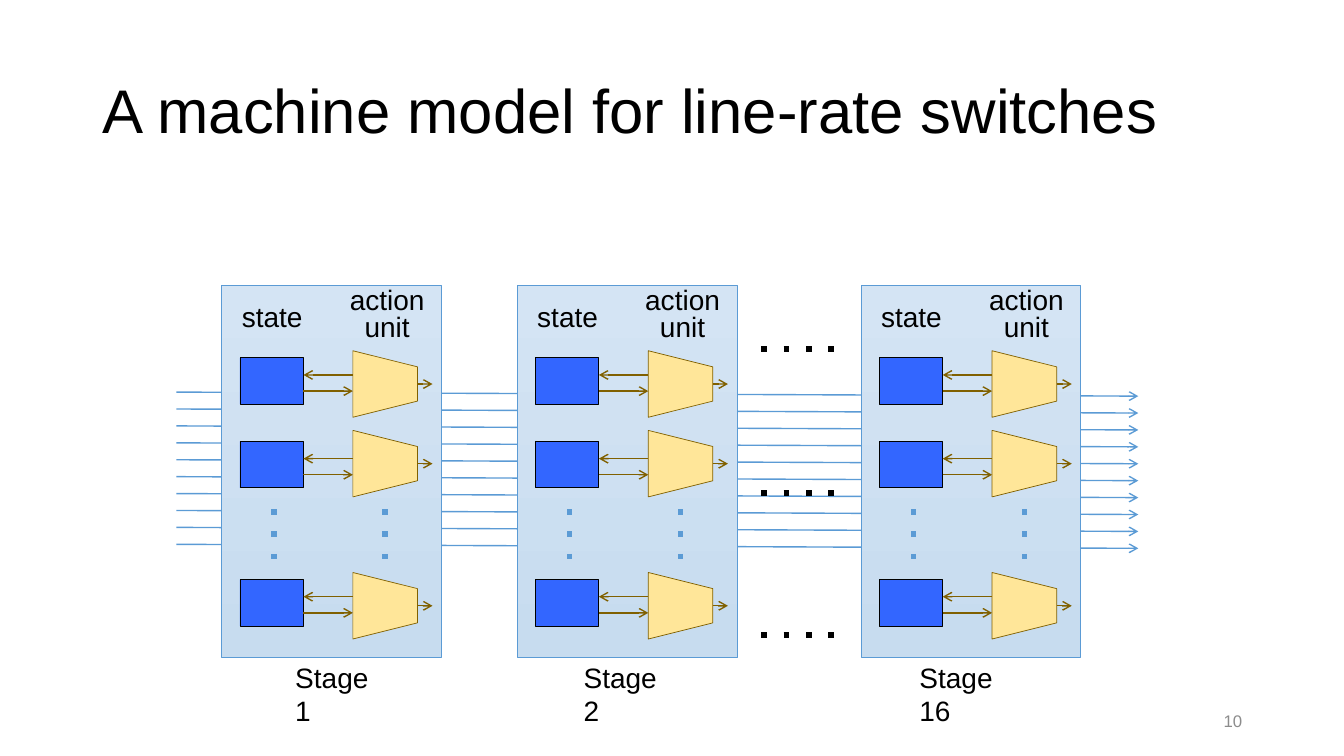
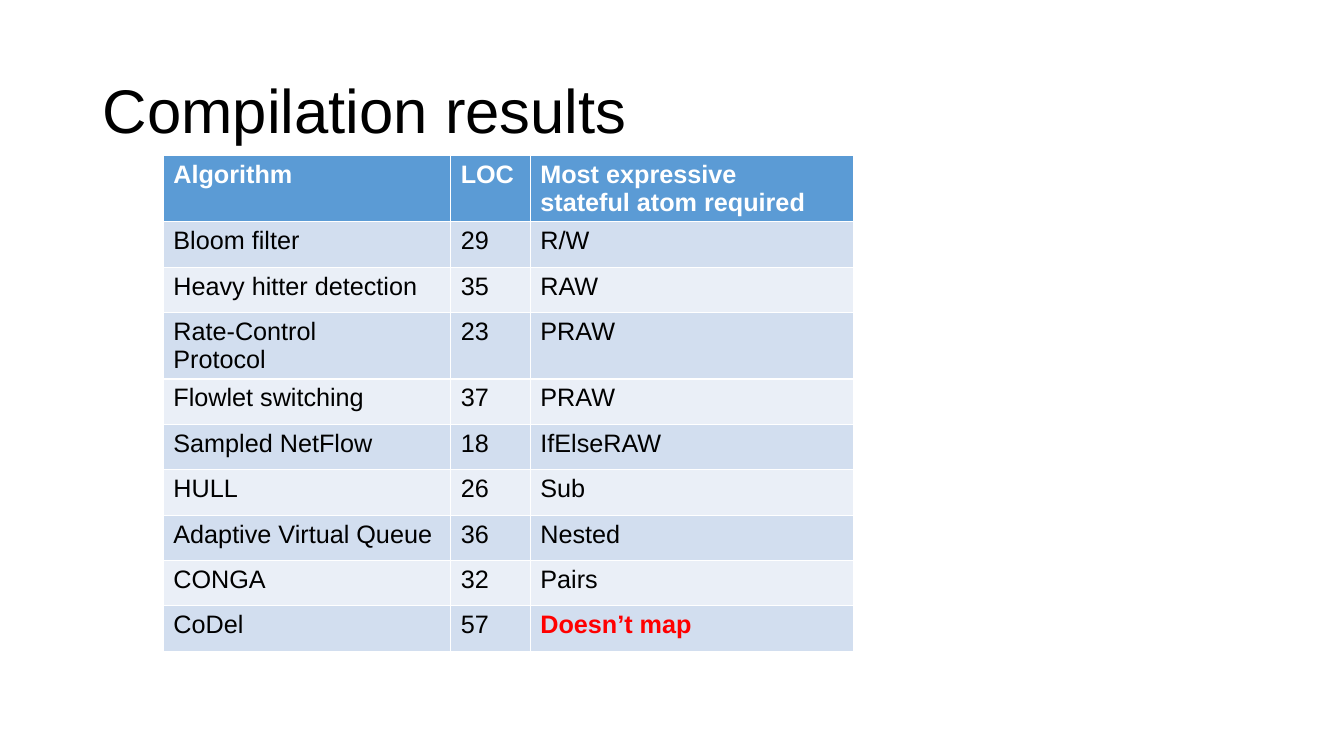
from lxml import etree
from pptx import Presentation
from pptx.dml.color import RGBColor
from pptx.enum.shapes import MSO_CONNECTOR, MSO_SHAPE
from pptx.enum.text import MSO_ANCHOR, PP_ALIGN
from pptx.oxml.ns import qn
from pptx.util import Emu, Inches, Pt

LINE = MSO_CONNECTOR.STRAIGHT
RECT, TRAP = MSO_SHAPE.RECTANGLE, MSO_SHAPE.TRAPEZOID
LEFT, MID, RIGHT = PP_ALIGN.LEFT, PP_ALIGN.CENTER, PP_ALIGN.RIGHT
CENTRE = MSO_ANCHOR.MIDDLE

FONT = "Arial"
HEX = {
    "ink": "000000", "white": "FFFFFF", "grey": "8C8C8C", "red": "FF0000",
    "blue": "5B9BD5", "state": "3366FF", "unit": "FFE699", "brown": "806000",
    "top": "D4E4F4", "base": "C7DCEF", "dark": "D2DEEF", "light": "EAEFF7",
}

# The slide is a grid of square cells, 13.33 columns by 7.5 rows
CELL = Inches(1)
COLS, ROWS = 13.33, 7.5

# Stages: left edge, label, label indent and label width
STAGES = [
    (2.2, "Stage 1", 0.63, 1.03),
    (5.13, "Stage 2", 0.56, 1.07),
    (8.54, "Stage 16", 0.48, 1.18),
]
STAGE_TOP, STAGE_W, STAGE_H = 2.83, 2.18, 3.69
PAIRS = [(3.55, 3.48), (4.38, 4.27), (5.75, 5.68)]  # tops of state and unit
BOX_X, BOX_W, BOX_H = 0.18, 0.63, 0.46
UNIT_X, UNIT_W, UNIT_H = 1.3, 0.64, 0.66
WIRES, WIRE_TOP, WIRE_END, WIRE_DROP = 10, 3.89, 5.4, 0.04

WIDTHS = [2.85, 0.79, 3.21]
HEAD_H, ROW_H = 0.64, 0.45
RESULTS = [
    ("Algorithm", "LOC", "Most expressive\nstateful atom required"),
    ("Bloom filter", "29", "R/W"),
    ("Heavy hitter detection", "35", "RAW"),
    ("Rate-Control\nProtocol", "23", "PRAW"),
    ("Flowlet switching", "37", "PRAW"),
    ("Sampled NetFlow", "18", "IfElseRAW"),
    ("HULL", "26", "Sub"),
    ("Adaptive Virtual Queue", "36", "Nested"),
    ("CONGA", "32", "Pairs"),
    ("CoDel", "57", "Doesn’t map"),
]


def rgb(name):
    return RGBColor.from_string(HEX[name])


def grid(*cells):
    return [Emu(round(n * CELL)) for n in cells]


def style(frame, size, color="ink", align=LEFT, bold=False, lead=None):
    for para in frame.paragraphs:
        para.alignment = align
        if lead:
            para.line_spacing = lead
        font = para.font
        font.name, font.size, font.bold = FONT, Pt(size), bold
        font.color.rgb = rgb(color)


def add_slide(deck, title):
    slide = deck.slides.add_slide(deck.slide_layouts[5])
    head = slide.shapes.title
    head.left, head.top, head.width, head.height = grid(0.92, 0.4, 11.5, 1.45)
    frame = head.text_frame
    frame.text = title
    frame.vertical_anchor = CENTRE
    style(frame, 44, lead=0.9)
    return slide


def add_text(slide, text, box, size=20, color="ink", align=LEFT, lead=None,
             pad=(0.1, 0.05)):
    frame = slide.shapes.add_textbox(*grid(*box)).text_frame
    frame.word_wrap = True
    frame.margin_left = frame.margin_right = Inches(pad[0])
    frame.margin_top = frame.margin_bottom = Inches(pad[1])
    frame.text = text
    style(frame, size, color, align, lead=lead)
    return frame


def add_line(slide, start, end, color, width=1, dots=False, arrow=False):
    line = slide.shapes.add_connector(LINE, *grid(*start, *end))
    line.line.color.rgb = rgb(color)
    line.line.width = Pt(width)
    props = line.line._get_or_add_ln()
    if dots:
        etree.SubElement(props, qn("a:prstDash"), val="dot")
    if arrow:
        etree.SubElement(props, qn("a:tailEnd"), type="arrow")
    etree.SubElement(line._element.spPr, qn("a:effectLst"))


def add_block(slide, kind, box, edge, fill=None):
    block = slide.shapes.add_shape(kind, *grid(*box))
    block.shadow.inherit = False
    block.line.color.rgb = rgb(edge)
    block.line.width = Pt(0.5)
    if fill:
        block.fill.solid()
        block.fill.fore_color.rgb = rgb(fill)
    return block


def add_pair(slide, left, box_top, unit_top):
    """A state box and its action unit, with the arrows between them."""
    box_x, unit_x = left + BOX_X, left + UNIT_X
    box_end, unit_end = box_x + BOX_W, unit_x + UNIT_W
    back, out, mid = box_top + 0.17, box_top + 0.33, unit_top + UNIT_H / 2
    add_block(slide, RECT, (box_x, box_top, BOX_W, BOX_H), "ink", "state")
    # The unit is turned, so its box is set out about the same centre
    turn = (UNIT_H - UNIT_W) / 2
    unit = add_block(slide, TRAP,
                     (unit_x - turn, unit_top + turn, UNIT_H, UNIT_W),
                     "brown", "unit")
    unit.rotation = 90
    for start, end in [((unit_x, back), (box_end, back)),
                       ((box_end, out), (unit_x, out)),
                       ((unit_end, mid), (unit_end + 0.15, mid))]:
        add_line(slide, start, end, "brown", arrow=True)


def add_stage(slide, left, label, indent, width):
    panel = add_block(slide, RECT, (left, STAGE_TOP, STAGE_W, STAGE_H), "blue")
    panel.fill.gradient()
    panel.fill.gradient_angle = 270
    for stop, name in zip(panel.fill.gradient_stops, ("top", "base")):
        stop.color.rgb = rgb(name)
    add_text(slide, label, (left + indent, 6.5, width, 0.44))
    # Headings
    for text, x, y, wide, high in [("state", -0.06, 2.97, 1.12, 0.42),
                                   ("action unit", 1.1, 2.8, 1.08, 0.69)]:
        add_text(slide, text, (left + x, y, wide, high), align=MID, lead=0.8,
                 pad=(0.14, 0.07))
    for tops in PAIRS:
        add_pair(slide, left, *tops)
    # Dots for the pairs left out
    for x in (left + 0.52, left + UNIT_X + UNIT_W / 2):
        add_line(slide, (x, 5.05), (x, 5.59), "blue", 4, dots=True)


def add_table(slide, rows):
    high = HEAD_H + ROW_H * (len(rows) - 1)
    table = slide.shapes.add_table(
        len(rows), len(WIDTHS), *grid(1.62, 1.54, sum(WIDTHS), high)).table
    table.horz_banding = False
    for col, wide in zip(table.columns, grid(*WIDTHS)):
        col.width = wide
    for i, row in enumerate(rows):
        table.rows[i].height = grid(ROW_H if i else HEAD_H)[0]
        back = ("dark" if i % 2 else "light") if i else "blue"
        for j, text in enumerate(row):
            cell = table.cell(i, j)
            cell.fill.solid()
            cell.fill.fore_color.rgb = rgb(back)
            cell.text_frame.text = text
            fails = text == "Doesn’t map"
            color = "red" if fails else "ink" if i else "white"
            style(cell.text_frame, 18, color, bold=fails or i == 0)


def add_model(deck):
    slide = add_slide(deck, "A machine model for line-rate switches")
    number = add_text(slide, "10", (9.42, 6.95, 3, 0.4), 12, "grey", RIGHT)
    number.vertical_anchor = CENTRE
    # Wires run behind the stages
    gap = (WIRE_END - WIRE_TOP) / (WIRES - 1)
    for i in range(WIRES):
        y = WIRE_TOP + i * gap
        add_line(slide, (1.75, y), (11.29, y + WIRE_DROP), "blue", arrow=True)
    # Dots for the stages left out
    for y in (3.46, 4.89, 6.3):
        add_line(slide, (7.55, y), (8.41, y), "ink", 4, dots=True)
    for stage in STAGES:
        add_stage(slide, *stage)


def main():
    deck = Presentation()
    deck.slide_width, deck.slide_height = grid(COLS, ROWS)
    add_model(deck)
    add_table(add_slide(deck, "Compilation results"), RESULTS)
    deck.save("out.pptx")


if __name__ == "__main__":
    main()
